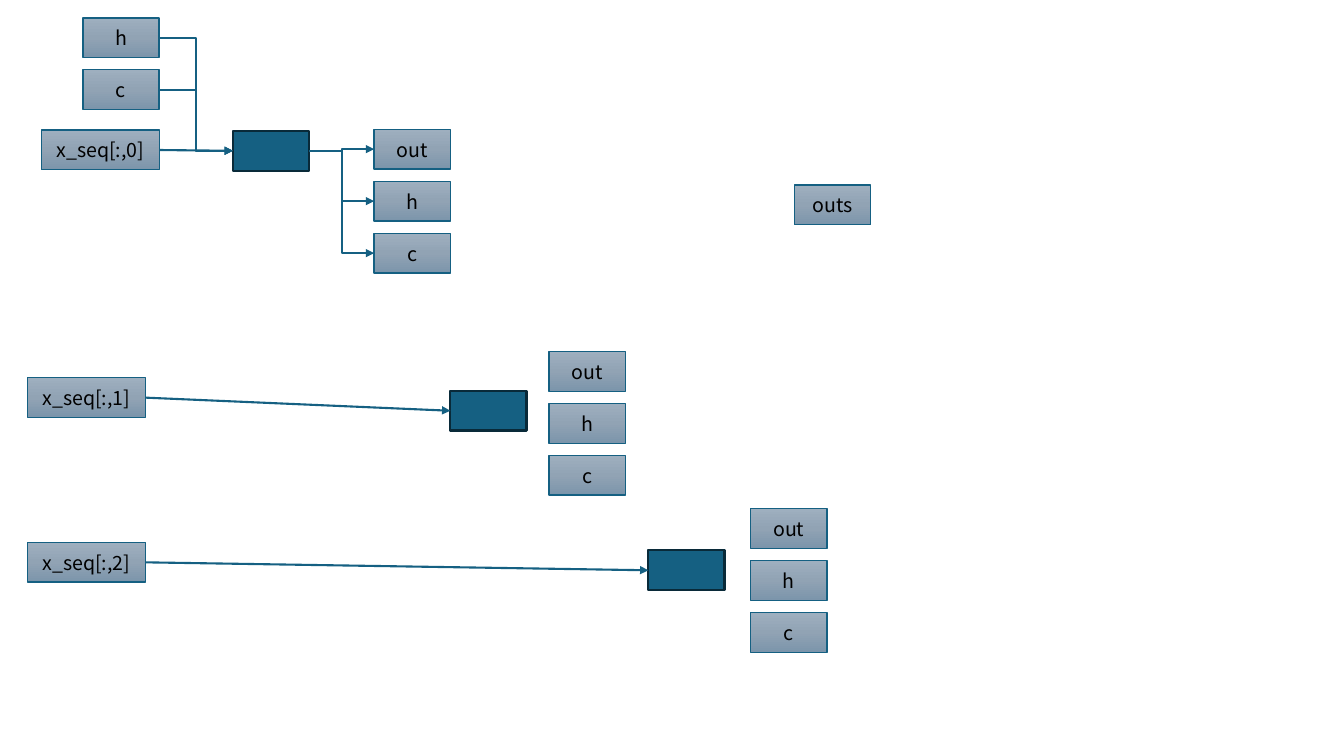
import copy

import pptx
import pptx.dml.color
import pptx.enum.dml
import pptx.enum.shapes
import pptx.enum.text
import pptx.oxml
import pptx.oxml.ns
import pptx.util

Cm = pptx.util.Cm
Pt = pptx.util.Pt

COLOURS = {
    "teal": "156082",
    "dark": "092A39",
    "text": "000000",
    "top": "9EAFBF",
    "middle": "91A3B4",
    "bottom": "7C95AB",
}
FONT = "Noto Sans CJK JP"
SMALL_WIDTH, SEQUENCE_WIDTH, HEIGHT = 1.92, 2.98, 1.0
STACK_PITCH = 1.31
LEFT_SIDE, RIGHT_SIDE = 1, 3  # connection sites of a rectangle
STRAIGHT = pptx.enum.shapes.MSO_CONNECTOR.STRAIGHT
ELBOW = pptx.enum.shapes.MSO_CONNECTOR.ELBOW


def colour(name):
    return pptx.dml.color.RGBColor.from_string(COLOURS[name])


def add_box(page, left, top, width, line_colour, line_width):
    box = page.shapes.add_shape(
        pptx.enum.shapes.MSO_SHAPE.RECTANGLE,
        Cm(left), Cm(top), Cm(width), Cm(HEIGHT))
    box.shadow.inherit = False
    box.line.color.rgb = colour(line_colour)
    box.line.width = Pt(line_width)
    return box


def fill_gradient(box):
    """Fill with the three-stop vertical gradient."""
    box.fill.gradient()
    box.fill.gradient_angle = 270
    stop_list = box.fill._fill._gradFill.gsLst
    stop_list.insert(1, copy.deepcopy(stop_list[0]))
    names = ("top", "middle", "bottom")
    for index, (stop, name) in enumerate(zip(box.fill.gradient_stops, names)):
        stop.position = index / 2
        stop.color.rgb = colour(name)


def add_tensor(page, label, left, top, width=SMALL_WIDTH):
    """Add a labelled grey box for a value."""
    box = add_box(page, left, top, width, "teal", 1)
    fill_gradient(box)
    box.text_frame.vertical_anchor = pptx.enum.text.MSO_ANCHOR.MIDDLE
    para = box.text_frame.paragraphs[0]
    para.alignment = pptx.enum.text.PP_ALIGN.CENTER
    span = para.add_run()
    span.text = label
    span.font.name = FONT
    span.font.size = Pt(14)
    span.font.color.rgb = colour("text")
    return box


def add_stack(page, labels, left, top):
    return [add_tensor(page, label, left, top + row * STACK_PITCH)
            for row, label in enumerate(labels)]


def add_cell(page, left, top):
    """Add a solid box for one recurrent step."""
    box = add_box(page, left, top, SMALL_WIDTH, "dark", 1.5)
    box.fill.solid()
    box.fill.fore_color.rgb = colour("teal")
    return box


def add_arrow(page, kind, source, target):
    """Join the right side of source to the left side of target."""
    arrow = page.shapes.add_connector(kind, 0, 0, 0, 0)
    arrow.begin_connect(source, RIGHT_SIDE)
    arrow.end_connect(target, LEFT_SIDE)
    arrow.line.color.rgb = colour("teal")
    arrow.line.width = Pt(1.5)
    head = pptx.oxml.parse_xml(
        f'<a:tailEnd {pptx.oxml.ns.nsdecls("a")} type="triangle"/>')
    arrow.line._get_or_add_ln().append(head)
    effects = pptx.oxml.parse_xml(
        f'<a:effectLst {pptx.oxml.ns.nsdecls("a")}/>')
    arrow._element.spPr.append(effects)


def main():
    deck = pptx.Presentation()
    deck.slide_width, deck.slide_height = Cm(33.87), Cm(19.05)
    page = deck.slides.add_slide(deck.slide_layouts[6])

    # Positions of sequence input, cell and output stack for each step
    steps = [
        ((1.04, 3.28), (5.87, 3.3), (9.43, 3.26)),
        ((0.69, 9.52), (11.35, 9.85), (13.84, 8.86)),
        ((0.69, 13.67), (16.34, 13.87), (18.92, 12.82)),
    ]
    cells, stacks = [], []
    for number, (sequence_at, cell_at, stack_at) in enumerate(steps):
        sequence = add_tensor(
            page, f"x_seq[:,{number}]", *sequence_at, SEQUENCE_WIDTH)
        cell = add_cell(page, *cell_at)
        add_arrow(page, STRAIGHT, sequence, cell)
        cells.append(cell)
        stacks.append(add_stack(page, ("out", "h", "c"), *stack_at))

    for state in add_stack(page, ("h", "c"), 2.09, 0.45):
        add_arrow(page, ELBOW, state, cells[0])
    for result in stacks[0]:
        add_arrow(page, ELBOW, cells[0], result)
    add_tensor(page, "outs", 20.02, 4.66)

    deck.save("out.pptx")


if __name__ == "__main__":
    main()
